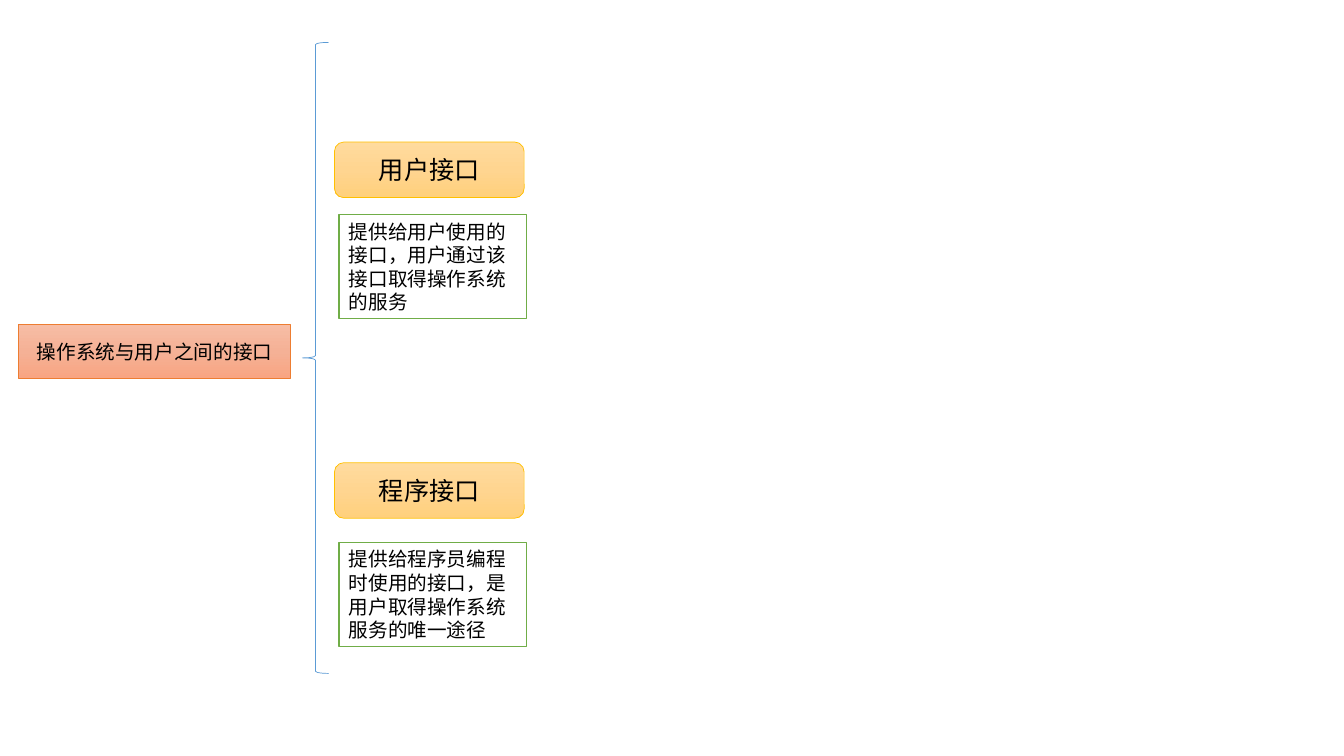
from copy import deepcopy

from pptx import Presentation
from pptx.dml.color import RGBColor
from pptx.enum.shapes import MSO_SHAPE
from pptx.enum.text import MSO_ANCHOR, PP_ALIGN
from pptx.oxml.ns import qn
from pptx.util import Cm, Pt

RECT, ROUNDED, BRACE = MSO_SHAPE.RECTANGLE, MSO_SHAPE.ROUNDED_RECTANGLE, MSO_SHAPE.LEFT_BRACE
CENTER, LEFT = PP_ALIGN.CENTER, PP_ALIGN.LEFT
MIDDLE = MSO_ANCHOR.MIDDLE
BLANK_LAYOUT = 6

ORANGE_FADE = ("F7BDA5", "F5B196", "F8A582")
GOLD_FADE = ("FFDB9E", "FFD590", "FFD07C")

# title, top of title, description, top of description
INTERFACES = [
    ("用户接口", 3.58, "提供给用户使用的接口，用户通过该接口取得操作系统的服务", 5.41),
    ("程序接口", 11.66, "提供给程序员编程时使用的接口，是用户取得操作系统服务的唯一途径", 13.67),
]


def rgb(value):
    """Turn a hex string into a colour."""
    return RGBColor.from_string(value)


def add_outline(s, kind, box, color, width):
    """Add an unfilled shape with a coloured line; box is in centimetres."""
    sp = s.shapes.add_shape(kind, *map(Cm, box))
    sp.shadow.inherit = False
    sp.fill.background()
    sp.line.color.rgb = rgb(color)
    sp.line.width = Pt(width)
    return sp


def fade(sp, colors):
    """Fill a shape with three evenly spaced colours from top to bottom."""
    sp.fill.gradient()
    sp.fill.gradient_angle = 270
    stop_list = sp.element.find(".//" + qn("a:gsLst"))
    stop_list.insert(1, deepcopy(stop_list[0]))
    for i, (stop, color) in enumerate(zip(sp.fill.gradient_stops, colors)):
        stop.position = i / 2
        stop.color.rgb = rgb(color)


def write(sp, text, size, align):
    """Write black text, vertically centred, into a shape."""
    tf = sp.text_frame
    tf.word_wrap = True
    tf.vertical_anchor = MIDDLE
    p = tf.paragraphs[0]
    p.alignment = align
    r = p.add_run()
    r.text = text
    for name, value in {"name": "Calibri", "size": Pt(size)}.items():
        setattr(r.font, name, value)
    r.font.color.rgb = rgb("000000")


def add_label(s, kind, box, text, size, colors, line):
    """Add a gradient box with a centred heading."""
    sp = add_outline(s, kind, box, line, 0.5)
    fade(sp, colors)
    write(sp, text, size, CENTER)


def add_note(s, box, text):
    """Add a white, green-edged box with a description."""
    sp = add_outline(s, RECT, box, "70AD47", 1)
    sp.fill.solid()
    sp.fill.fore_color.rgb = rgb("FFFFFF")
    write(sp, text, 14, LEFT)


def main():
    """Build the slide and save it."""
    prs = Presentation()
    prs.slide_width, prs.slide_height = Cm(33.87), Cm(19.05)
    s = prs.slides.add_slide(prs.slide_layouts[BLANK_LAYOUT])

    add_label(s, RECT, (0.47, 8.18, 6.86, 1.35), "操作系统与用户之间的接口",
              14, ORANGE_FADE, "ED7D31")
    add_outline(s, BRACE, (7.62, 1.07, 0.66, 15.9), "5B9BD5", 0.5)
    for title, title_top, note, note_top in INTERFACES:
        add_label(s, ROUNDED, (8.43, title_top, 4.78, 1.4), title, 18, GOLD_FADE, "FFC000")
        add_note(s, (8.54, note_top, 4.73, 2.62), note)

    prs.save("out.pptx")


main()
